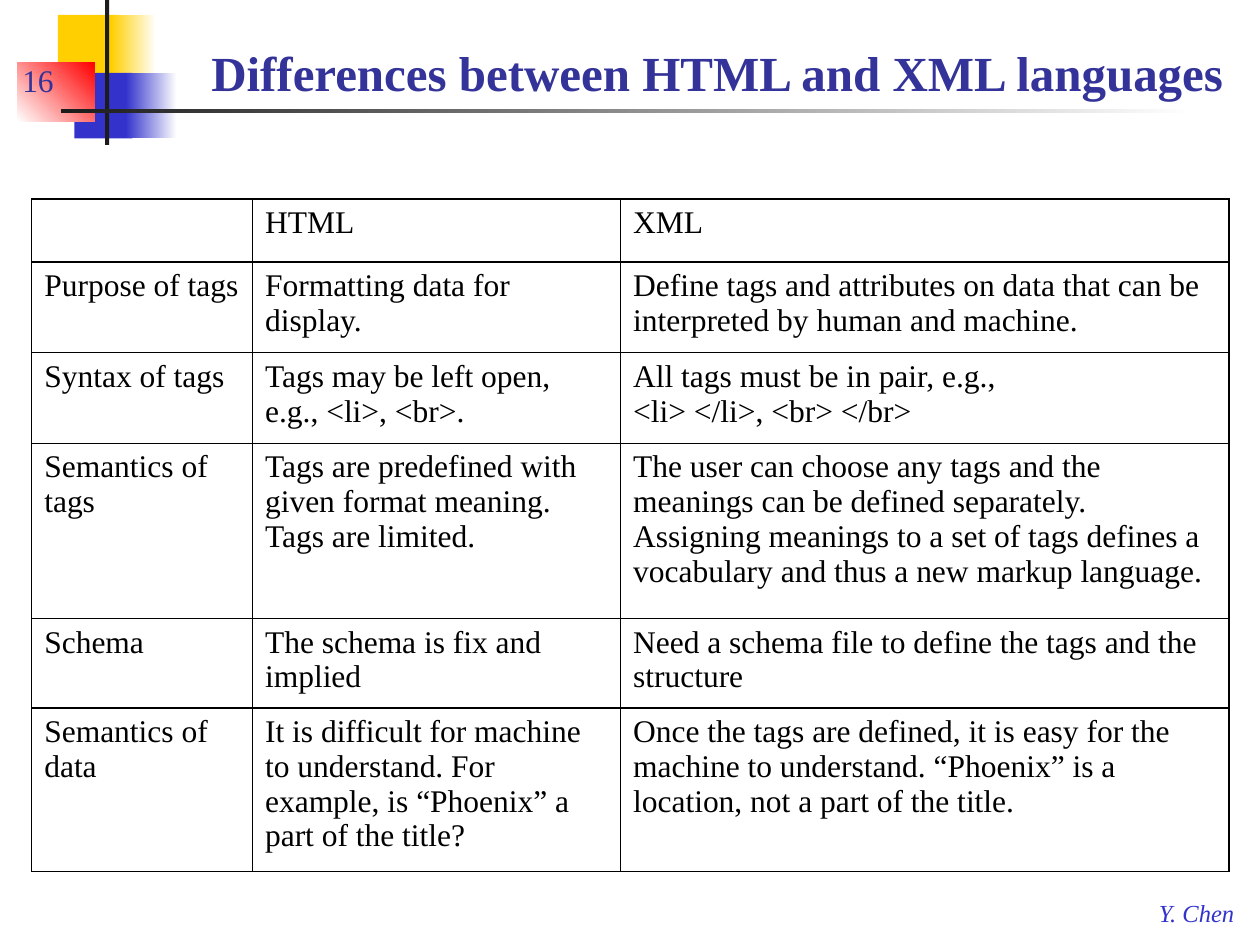
from dataclasses import dataclass

from lxml.etree import SubElement
from pptx import Presentation
from pptx.dml.color import RGBColor
from pptx.enum.shapes import MSO_SHAPE
from pptx.enum.text import MSO_ANCHOR
from pptx.oxml.ns import qn
from pptx.util import Cm, Pt


@dataclass(frozen=True)
class Theme:
    font: str = "Times New Roman"
    yellow: str = "FFCF01"
    blue: str = "3333CC"
    red: str = "FF0000"
    dark: str = "1C1C1C"
    white: str = "FFFFFF"
    heading: str = "333399"
    text: str = "000000"
    title_size: int = 28
    body_size: int = 18
    footer_size: int = 14
    border: int = 1


THEME = Theme()

COLUMNS = [4.45, 7.42, 12.27]
HEIGHTS = [1.27, 1.83, 1.83, 3.53, 1.8, 3.3]
ROWS = [
    ("", "HTML", "XML"),
    ("Purpose of tags", "Formatting data for display.",
     "Define tags and attributes on data that can be interpreted by human and machine."),
    ("Syntax of tags", "Tags may be left open, e.g., <li>, <br>.",
     "All tags must be in pair, e.g., \n<li> </li>, <br> </br>"),
    ("Semantics of tags",
     "Tags are predefined with given format meaning. Tags are limited.",
     "The user can choose any tags and the meanings can be defined separately. "
     "Assigning meanings to a set of tags defines a vocabulary and thus a new markup language."),
    ("Schema", "The schema is fix and implied",
     "Need a schema file to define the tags and the structure"),
    ("Semantics of data",
     "It is difficult for machine to understand. For example, is “Phoenix” a part of the title?",
     "Once the tags are defined, it is easy for the machine to understand. "
     "“Phoenix” is a location, not a part of the title."),
]


def add_run(p, text, size, color, bold=False, italic=False):
    r = p.add_run()
    r.text = text
    r.font.name = THEME.font
    r.font.size = Pt(size)
    r.font.bold = bold
    r.font.italic = italic
    r.font.color.rgb = RGBColor.from_string(color)


def add_block(s, box, *colors, angle=0):
    sp = s.shapes.add_shape(MSO_SHAPE.RECTANGLE, *map(Cm, box))
    sp.shadow.inherit = False
    sp.line.fill.background()
    if len(colors) == 1:
        sp.fill.solid()
        sp.fill.fore_color.rgb = RGBColor.from_string(colors[0])
        return
    sp.fill.gradient()
    sp.fill.gradient_angle = angle
    for stop, color in zip(sp.fill.gradient_stops, colors):
        stop.color.rgb = RGBColor.from_string(color)


def add_label(s, box, text, size, color, anchor=MSO_ANCHOR.TOP, wrap=True, **style):
    tf = s.shapes.add_textbox(*map(Cm, box)).text_frame
    tf.word_wrap = wrap
    tf.vertical_anchor = anchor
    add_run(tf.paragraphs[0], text, size, color, **style)


def set_borders(cell):
    tc_pr = cell._tc.get_or_add_tcPr()
    for index, side in enumerate(("a:lnL", "a:lnR", "a:lnT", "a:lnB")):
        ln = SubElement(tc_pr, qn(side), w=str(Pt(THEME.border)))
        fill = SubElement(ln, qn("a:solidFill"))
        SubElement(fill, qn("a:srgbClr"), val=THEME.text)
        tc_pr.insert(index, ln)


def fill_cell(cell, text):
    cell.fill.background()
    set_borders(cell)
    p = cell.text_frame.paragraphs[0]
    for index, line in enumerate(text.split("\n") if text else []):
        if index:
            p.add_line_break()
        add_run(p, line, THEME.body_size, THEME.text)


def add_comparison(s):
    frame = s.shapes.add_table(len(ROWS), len(COLUMNS), Cm(0.64), Cm(4.01),
                               Cm(sum(COLUMNS)), Cm(sum(HEIGHTS)))
    table = frame.table
    table.first_row = False
    table.horz_banding = False
    for column, width in zip(table.columns, COLUMNS):
        column.width = Cm(width)
    for row, height, texts in zip(table.rows, HEIGHTS, ROWS):
        row.height = Cm(height)
        for cell, text in zip(row.cells, texts):
            fill_cell(cell, text)


def add_ornament(s):
    t = THEME
    add_block(s, (1.17, 0.3, 1.22, 1.32), t.yellow)
    add_block(s, (2.24, 0.3, 0.91, 1.32), t.yellow, t.white)
    add_block(s, (1.5, 1.47, 1.17, 1.32), t.blue)
    add_block(s, (2.54, 1.47, 1.02, 1.32), t.blue, t.white)
    add_block(s, (0.35, 1.27, 1.56, 1.18), t.white, t.red, angle=45)
    add_block(s, (2.12, 0, 0.08, 2.92), t.dark)
    add_block(s, (1.23, 2.19, 22.86, 0.08), t.dark, t.white)


def main():
    prs = Presentation()
    prs.slide_width, prs.slide_height = Cm(25.4), Cm(19.05)
    s = prs.slides.add_slide(prs.slide_layouts[6])
    add_ornament(s)
    add_label(s, (23.11, 17.98, 2.08, 0.84), "Y. Chen", THEME.footer_size,
              THEME.blue, wrap=False, italic=True)
    add_label(s, (0.2, 0.84, 5.28, 1.27), "16", THEME.body_size,
              THEME.heading, MSO_ANCHOR.BOTTOM)
    add_label(s, (4.01, 0.43, 21.16, 1.73), "Differences between HTML and XML languages",
              THEME.title_size, THEME.heading, MSO_ANCHOR.BOTTOM, bold=True)
    add_comparison(s)
    prs.save("out.pptx")


if __name__ == "__main__":
    main()
